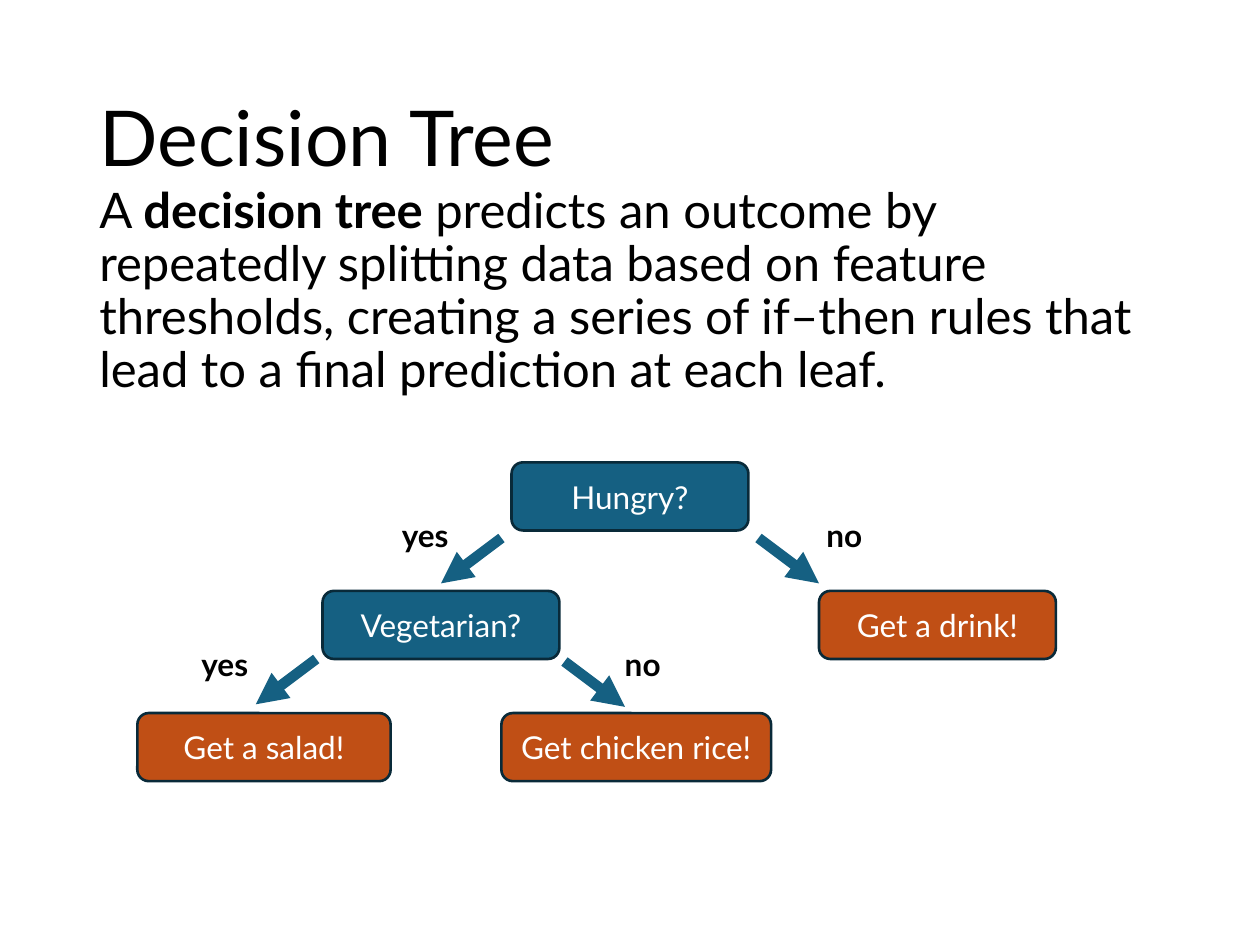
from lxml import etree
from pptx import Presentation
from pptx.dml import color
from pptx.enum import shapes, text
from pptx.oxml import ns
from pptx.util import Inches, Pt

BLUE, ORANGE, OUTLINE = "156082", "C04F15", "092A39"


def rgb(value):
    return color.RGBColor.from_string(value)


def write(sp, *runs, size=18, fill="000000", bold=False, align=None,
          anchor=text.MSO_ANCHOR.TOP, wrap=True, spacing=None, before=None):
    """Fill a shape with one paragraph; a run is a string or (string, bold)."""
    tf = sp.text_frame
    tf.word_wrap = wrap
    tf.vertical_anchor = anchor
    p = tf.paragraphs[0]
    p.alignment = align
    p.line_spacing = spacing
    p.space_before = before
    for run in runs:
        words, heavy = run if isinstance(run, tuple) else (run, bold)
        r = p.add_run()
        r.text = words
        r.font.name, r.font.size, r.font.bold = "Lato", Pt(size), heavy
        r.font.color.rgb = rgb(fill)
    return tf


prs = Presentation()
prs.slide_width, prs.slide_height = Inches(10), Inches(7.5)
s = prs.slides.add_slide(prs.slide_layouts[6])

# Title and definition
sp = s.shapes.add_textbox(Inches(0.69), Inches(0.4), Inches(8.62), Inches(1.45))
write(sp, "Decision Tree", size=44, anchor=text.MSO_ANCHOR.MIDDLE, spacing=0.9)

sp = s.shapes.add_textbox(Inches(0.69), Inches(1.43), Inches(8.62), Inches(4.76))
write(sp, "A ", ("decision tree", True),
      " predicts an outcome by repeatedly splitting data based on feature "
      "thresholds, creating a series of if–then rules that lead to a final "
      "prediction at each leaf.",
      size=28, spacing=0.9, before=Pt(10))

# Tree nodes: questions are blue, leaves are orange
nodes = [
    ("Hungry?", 4.06, 3.67, 1.88, BLUE),
    ("Vegetarian?", 2.56, 4.69, 1.88, BLUE),
    ("Get a drink!", 6.5, 4.69, 1.88, ORANGE),
    ("Get a salad!", 1.09, 5.66, 2.01, ORANGE),
    ("Get chicken rice!", 3.98, 5.66, 2.14, ORANGE),
]
for label, x, y, w, fill in nodes:
    sp = s.shapes.add_shape(shapes.MSO_SHAPE.ROUNDED_RECTANGLE,
                            Inches(x), Inches(y), Inches(w), Inches(0.54))
    sp.shadow.inherit = False
    sp.fill.solid()
    sp.fill.fore_color.rgb = rgb(fill)
    sp.line.color.rgb = rgb(OUTLINE)
    sp.line.width = Pt(1.5)
    write(sp, label, fill="FFFFFF", align=text.PP_ALIGN.CENTER,
          anchor=text.MSO_ANCHOR.MIDDLE)

# Branches: arrow start, direction, then the answer and its place
branches = [
    (3.98, 4.27, -1, "yes", 3.09, 4.05),
    (6.02, 4.27, 1, "no", 6.46, 4.05),
    (2.51, 5.23, -1, "yes", 1.5, 5.07),
    (4.48, 5.25, 1, "no", 4.86, 5.07),
]
for x, y, side, answer, label_x, label_y in branches:
    arrow = s.shapes.add_connector(shapes.MSO_CONNECTOR.STRAIGHT, Inches(x), Inches(y),
                                   Inches(x + side * 0.48), Inches(y + 0.36))
    arrow.line.color.rgb = rgb(BLUE)
    arrow.line.width = Pt(6)
    ln = arrow.line._get_or_add_ln()
    etree.SubElement(ln, ns.qn("a:tailEnd"), type="triangle")
    etree.SubElement(arrow._element.spPr, ns.qn("a:effectLst"))

    width = 0.59 if answer == "yes" else 0.49
    sp = s.shapes.add_textbox(Inches(label_x), Inches(label_y), Inches(width), Inches(0.4))
    tf = write(sp, answer, bold=True, wrap=False)
    tf.auto_size = text.MSO_AUTO_SIZE.SHAPE_TO_FIT_TEXT

prs.save("out.pptx")
